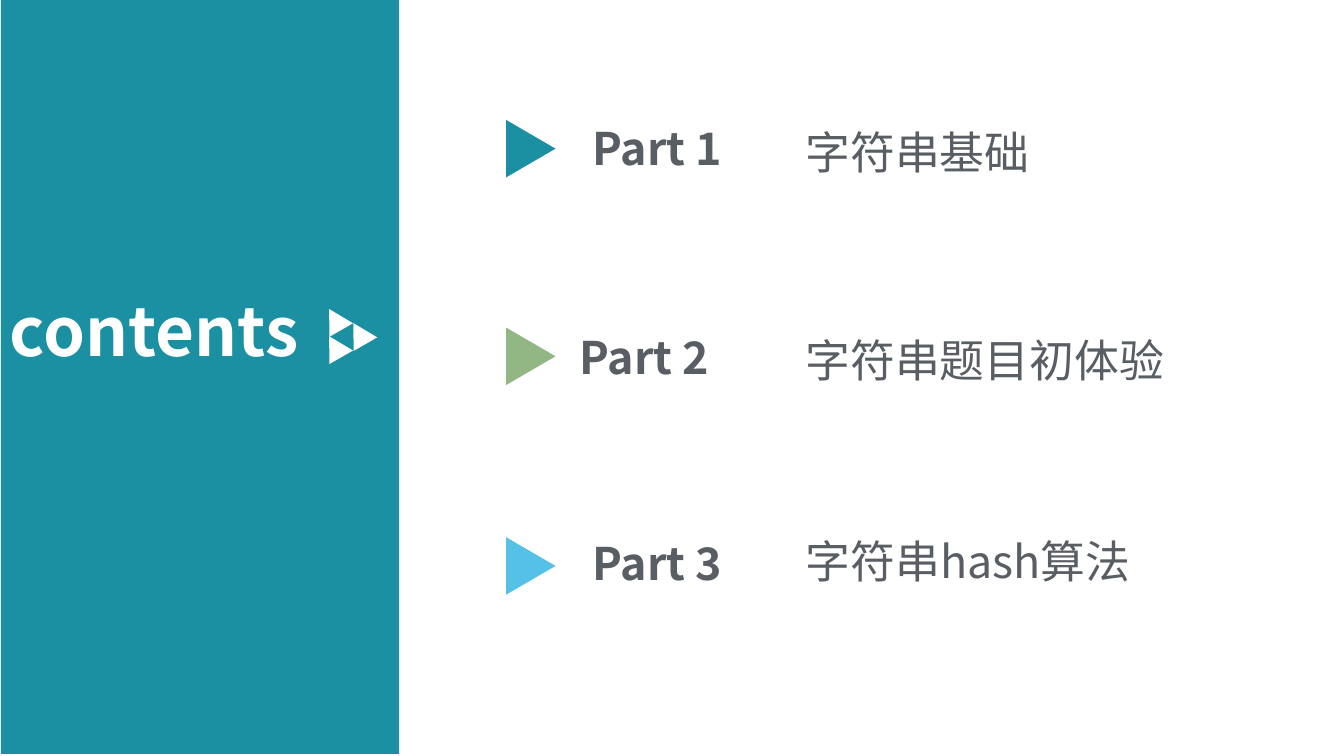
from lxml.etree import SubElement
from pptx import Presentation
from pptx.dml.color import RGBColor
from pptx.enum.shapes import MSO_SHAPE
from pptx.enum.text import MSO_AUTO_SIZE
from pptx.oxml.ns import qn
from pptx.util import Inches, Pt

TEAL = RGBColor(0x1B, 0x90, 0xA2)
GREEN = RGBColor(0x93, 0xB7, 0x84)
BLUE = RGBColor(0x55, 0xC1, 0xE7)
GREY = RGBColor(0x59, 0x5E, 0x64)
WHITE = RGBColor(0xFF, 0xFF, 0xFF)

PARTS = [
    ("Part 1", 5.78, 1.15, "字符串基础", 1.19, 4, TEAL, 1.23),
    ("Part 2", 5.65, 3.22, "字符串题目初体验", 3.25, 4.46, GREEN, 3.29),
    ("Part 3", 5.78, 5.27, "字符串hash算法", 5.25, 4.85, BLUE, 5.37),
]


class ContentsPage:
    """Draws the elements of a contents page in one style."""

    font_name = "Noto Sans CJK SC"

    def __init__(self, slide):
        self.slide = slide

    def shape(self, kind, left, top, width, height, color, rotation=0):
        shape = self.slide.shapes.add_shape(
            kind, Inches(left), Inches(top), Inches(width), Inches(height))
        shape.rotation = rotation
        shape.shadow.inherit = False
        shape.fill.solid()
        shape.fill.fore_color.rgb = color
        shape.line.fill.background()

    def text(self, words, left, top, width, height, size=32, color=GREY, bold=False):
        box = self.slide.shapes.add_textbox(
            Inches(left), Inches(top), Inches(width), Inches(height))
        frame = box.text_frame
        frame.word_wrap = True
        frame.auto_size = MSO_AUTO_SIZE.SHAPE_TO_FIT_TEXT
        frame.text = words
        font = frame.paragraphs[0].runs[0].font
        font.name = self.font_name
        font.size = Pt(size)
        font.bold = bold
        font.color.rgb = color
        properties = frame.paragraphs[0].runs[0]._r.get_or_add_rPr()
        SubElement(properties, qn("a:ea")).set("typeface", self.font_name)


def main():
    deck = Presentation()
    deck.slide_width, deck.slide_height = Inches(13.33), Inches(7.5)
    page = ContentsPage(deck.slides.add_slide(deck.slide_layouts[6]))

    page.shape(MSO_SHAPE.RECTANGLE, 0.01, -0.02, 3.95, 7.5, TEAL)
    page.text("contents", 0, 2.82, 3.36, 0.91, size=48, color=WHITE, bold=True)
    for left, top in [(3.19, 3.05), (3.19, 3.32), (3.43, 3.19)]:
        page.shape(MSO_SHAPE.ISOSCELES_TRIANGLE, left, top, 0.27, 0.24, WHITE, 330.2)

    for label, label_left, label_top, title, title_top, title_width, color, marker_top in PARTS:
        page.shape(MSO_SHAPE.ISOSCELES_TRIANGLE, 4.98, marker_top, 0.57, 0.49, color, 90)
        page.text(label, label_left, label_top, 2.11, 0.64, bold=True)
        page.text(title, 7.89, title_top, title_width, 0.64)

    deck.save("out.pptx")


if __name__ == "__main__":
    main()
